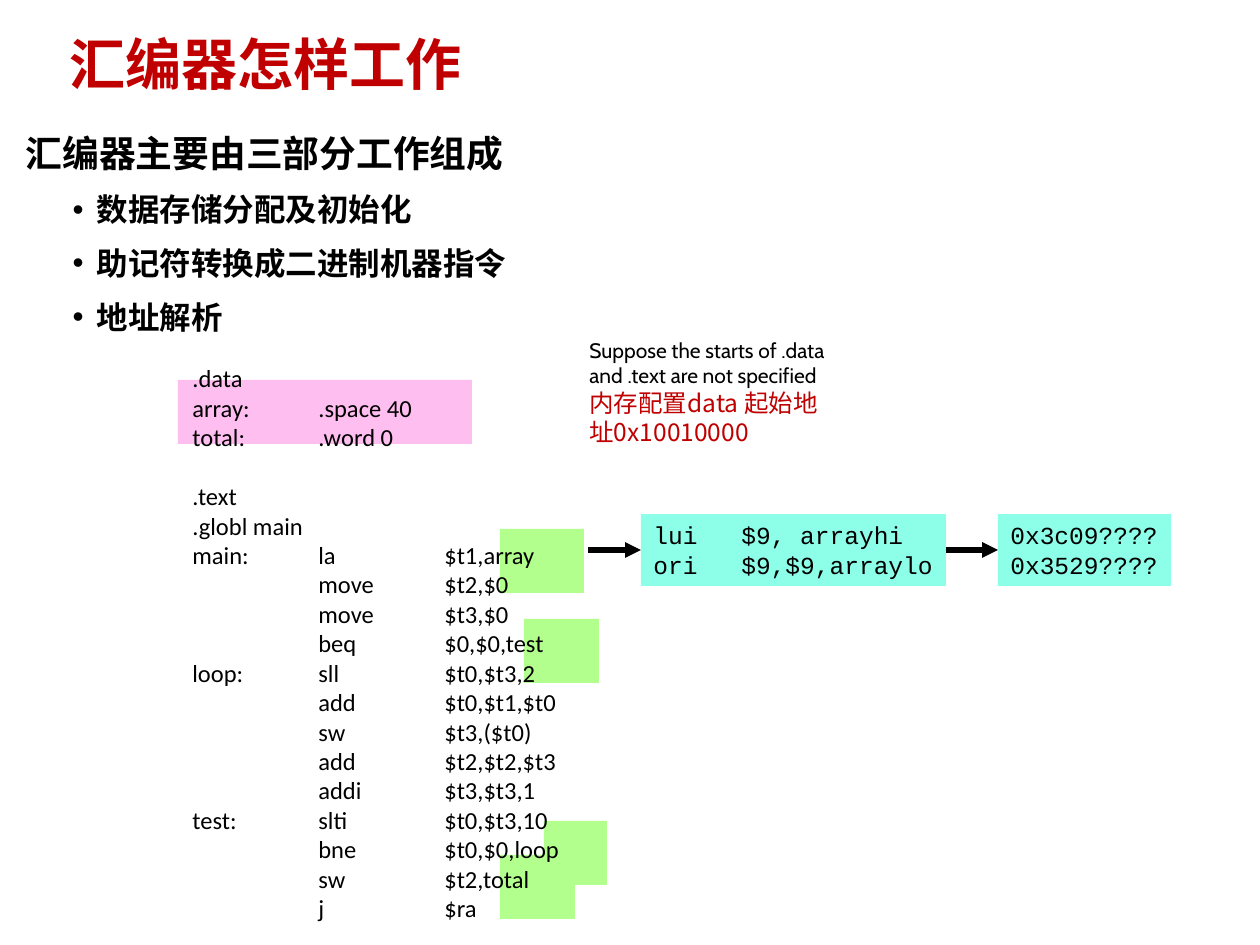
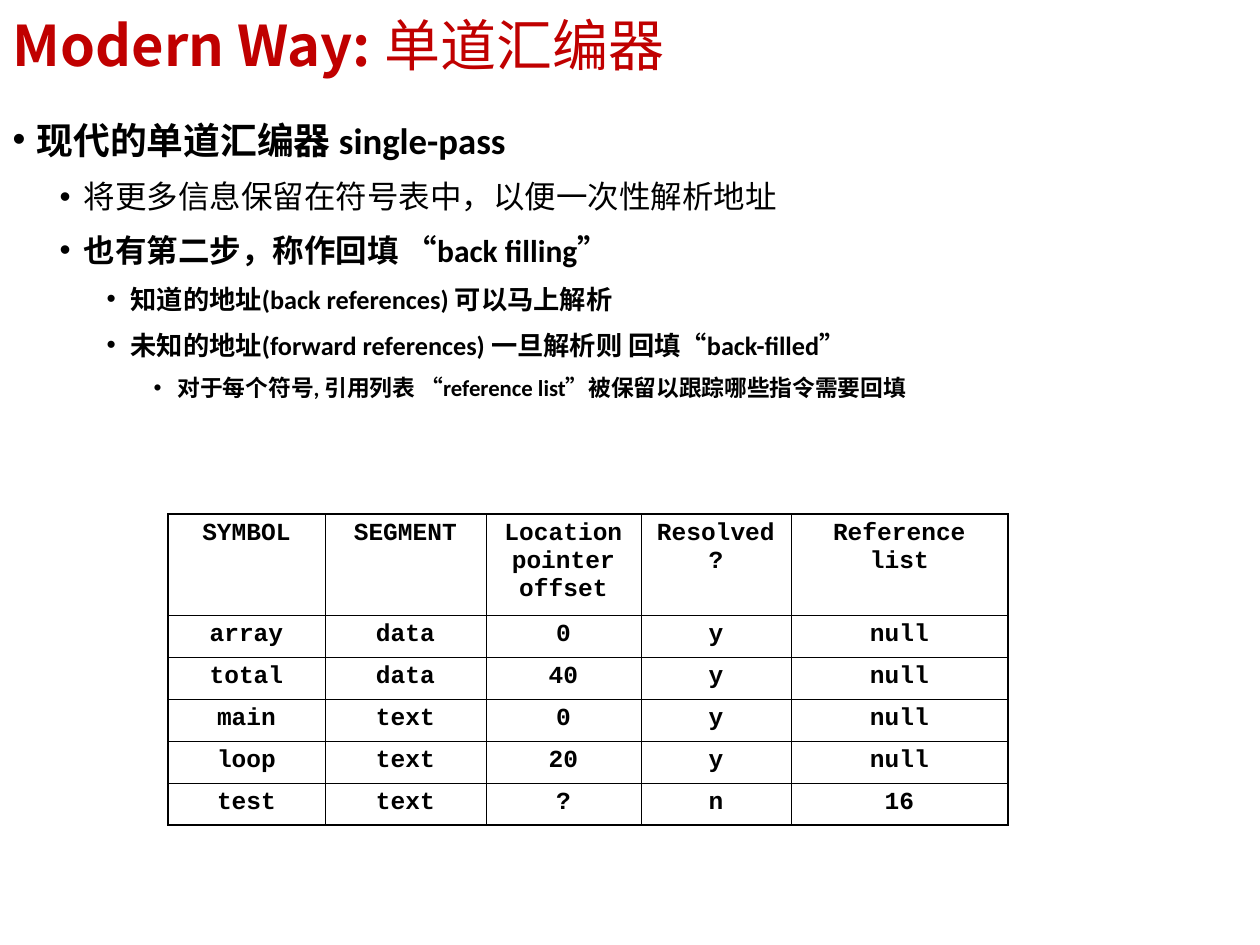
from dataclasses import dataclass

from lxml.etree import SubElement
from pptx import Presentation
from pptx.dml.color import RGBColor
from pptx.enum.shapes import MSO_CONNECTOR, MSO_SHAPE
from pptx.enum.text import MSO_ANCHOR, MSO_AUTO_SIZE, PP_ALIGN
from pptx.oxml.ns import qn
from pptx.oxml.xmlchemy import OxmlElement
from pptx.util import Emu, Pt


@dataclass(frozen=True)
class Theme:
    """Colours, fonts and type sizes shared by the slides."""
    ink: str = "000000"
    accent: str = "C00000"
    label: str = "B3FF8D"
    data: str = "FEBEEF"
    machine: str = "8DFFE9"
    chinese: str = "Noto Sans CJK SC"
    latin: str = "Calibri"
    note: str = "Cabin"
    mono: str = "Courier New"
    title_size: int = 32
    level_sizes: tuple = (21, 18, 15, 13)
    code_size: int = 14
    note_size: int = 12
    outer_border: float = 1.08
    inner_border: float = 0.45


THEME = Theme()
HANG = 24
LEVEL_STEP = 47
INCH = 126


def px(length):
    """Turn whole px into EMU."""
    return Emu(round(length * 914400 / INCH))


def place(shape, box):
    """Move a shape to its box."""
    shape.left, shape.top, shape.width, shape.height = map(px, box)


def style(paragraph, size, font_name, color=THEME.ink, bold=False):
    """Set the font of a paragraph, East Asian face included."""
    font = paragraph.font
    font.size, font.name, font.bold = Pt(size), font_name, bold
    font.color.rgb = RGBColor.from_string(color)
    properties = paragraph._p.get_or_add_pPr()
    east_asian = OxmlElement("a:ea")
    east_asian.set("typeface", THEME.chinese)
    properties.find(qn("a:defRPr")).find(qn("a:latin")).addnext(east_asian)
    return properties


def set_tabs(properties, step, count=3):
    """Add evenly spaced left tab stops."""
    tabs = OxmlElement("a:tabLst")
    for number in range(1, count + 1):
        SubElement(tabs, qn("a:tab"), pos=str(px(step * number)), algn="l")
    properties.find(qn("a:defRPr")).addprevious(tabs)


def paragraphs_for(frame, count):
    """Return the given number of paragraphs of a text frame."""
    return [frame.paragraphs[0]] + [frame.add_paragraph() for _ in range(count - 1)]


def add_title(slide, box, *runs):
    """Fill the title placeholder with (text, bold) runs."""
    title = slide.shapes.title
    place(title, box)
    frame = title.text_frame
    frame.auto_size = MSO_AUTO_SIZE.NONE
    frame.vertical_anchor = MSO_ANCHOR.MIDDLE
    paragraph = frame.paragraphs[0]
    paragraph.alignment = PP_ALIGN.LEFT
    paragraph.line_spacing = 0.9
    style(paragraph, THEME.title_size, THEME.chinese, THEME.accent, True)
    for text, bold in runs:
        run = paragraph.add_run()
        run.text = text
        if not bold:
            run.font.bold = False


def add_outline(slide, box, items):
    """Fill the body placeholder with (level, text, bulleted, bold) items."""
    body = slide.placeholders[1]
    place(body, box)
    frame = body.text_frame
    frame.auto_size = MSO_AUTO_SIZE.NONE
    for paragraph, item in zip(paragraphs_for(frame, len(items)), items):
        level, text, bulleted, bold = item
        paragraph.text = text
        paragraph.level = level
        paragraph.line_spacing = 1.25
        paragraph.space_before = Pt(3.7 if level else 7.5)
        properties = style(paragraph, THEME.level_sizes[level], THEME.latin, bold=bold)
        properties.set("marL", str(px(HANG + LEVEL_STEP * level)))
        properties.set("indent", str(-px(HANG)))
        bullet = OxmlElement("a:buChar" if bulleted else "a:buNone")
        if bulleted:
            bullet.set("char", "•")
        properties.find(qn("a:defRPr")).addprevious(bullet)


def add_block(slide, box, color):
    """Add a plain filled rectangle."""
    block = slide.shapes.add_shape(MSO_SHAPE.RECTANGLE, *map(px, box))
    block.shadow.inherit = False
    block.fill.solid()
    block.fill.fore_color.rgb = RGBColor.from_string(color)
    block.line.fill.background()
    return block


def write_code(shape, lines, font_name, tab_step):
    """Write tabbed code lines into a shape."""
    frame = shape.text_frame
    frame.word_wrap = True
    frame.margin_right = 0
    frame.vertical_anchor = MSO_ANCHOR.TOP
    paragraphs = paragraphs_for(frame, len(lines))
    for paragraph, line in zip(paragraphs, lines):
        paragraph.text = "\t".join(line)
        paragraph.alignment = PP_ALIGN.LEFT
        set_tabs(style(paragraph, THEME.code_size, font_name), tab_step)
    return paragraphs


def add_listing(slide, box):
    """Add the assembly listing with its highlighted symbols."""
    left, top, width, height = box
    add_block(slide, (left - 2, top + 23, 294, 64), THEME.data)
    for x, y, block_width in ((344, 262, 75), (364, 464, 63), (320, 498, 75), (320, 172, 84)):
        add_block(slide, (left + x, top + y, block_width, 64), THEME.label)
    data_lines = [(".data",), ("array:", ".space 40"), ("total:", ".word 0")]
    text_lines = [
        (".text",),
        (".globl main",),
        ("main:", "la", "$t1,array"),
        ("", "move", "$t2,$0"),
        ("", "move", "$t3,$0"),
        ("", "beq", "$0,$0,test"),
        ("loop:", "sll", "$t0,$t3,2"),
        ("", "add", "$t0,$t1,$t0"),
        ("", "sw", "$t3,($t0)"),
        ("", "add", "$t2,$t2,$t3"),
        ("", "addi", "$t3,$t3,1"),
        ("test:", "slti", "$t0,$t3,10"),
        ("", "bne", "$t0,$0,loop"),
        ("", "sw", "$t2,total"),
        ("", "j", "$ra"),
    ]
    listing = slide.shapes.add_textbox(*map(px, box))
    paragraphs = write_code(listing, data_lines + text_lines, THEME.latin, INCH)
    paragraphs[len(data_lines)].space_before = Pt(17)


def add_arrow(slide, start, end):
    """Add a thick black arrow."""
    arrow = slide.shapes.add_connector(MSO_CONNECTOR.STRAIGHT, *map(px, start + end))
    arrow.line.width = Pt(3)
    arrow.line.color.rgb = RGBColor.from_string(THEME.ink)
    SubElement(arrow.line._get_or_add_ln(), qn("a:tailEnd"), type="triangle")
    SubElement(arrow._element.spPr, qn("a:effectLst"))
    return arrow


def add_translation(slide, box):
    """Add the expanded instructions, their machine code and arrows."""
    left, top, width, height = box
    middle = top + height // 2
    instructions = add_block(slide, (left + 53, top, 305, height), THEME.machine)
    write_code(instructions, [("lui", "$9, arrayhi"), ("ori", "$9,$9,arraylo")],
               THEME.mono, 88)
    words = add_block(slide, (left + 410, top, width - 410, height), THEME.machine)
    write_code(words, [("0x3c09????",), ("0x3529????",)], THEME.mono, INCH)
    expand = add_arrow(slide, (left, middle), (left + 53, middle))
    expand.end_connect(instructions, 1)
    encode = add_arrow(slide, (left + 358, middle), (left + 410, middle))
    encode.begin_connect(instructions, 3)
    encode.end_connect(words, 1)


def add_note(slide, box):
    """Add the remark about segment start addresses."""
    frame = slide.shapes.add_textbox(*map(px, box)).text_frame
    frame.word_wrap = True
    remark, address = paragraphs_for(frame, 2)
    remark.text = "Suppose the starts of .data and .text are not specified"
    style(remark, THEME.note_size, THEME.note)
    address.text = "内存配置data 起始地址0x10010000"
    style(address, THEME.code_size, THEME.chinese, THEME.accent)


def set_borders(cell, widths):
    """Give a cell its left, right, top and bottom lines."""
    properties = cell._tc.get_or_add_tcPr()
    for index, (side, width) in enumerate(zip("LRTB", widths)):
        line = OxmlElement(f"a:ln{side}")
        line.set("w", str(Pt(width)))
        fill = SubElement(line, qn("a:solidFill"))
        SubElement(fill, qn("a:srgbClr"), val=THEME.ink)
        properties.insert(index, line)


def add_symbol_table(slide, box):
    """Add the symbol table with a heavier outer frame."""
    rows = [
        ("SYMBOL", "SEGMENT", "Location pointer offset", "Resolved?", "Reference list"),
        ("array", "data", "0", "y", "null"),
        ("total", "data", "40", "y", "null"),
        ("main", "text", "0", "y", "null"),
        ("loop", "text", "20", "y", "null"),
        ("test", "text", "?", "n", "16"),
    ]
    column_widths = (157, 161, 155, 150, 217)
    row_heights = (101,) + (42,) * 5
    table = slide.shapes.add_table(len(rows), len(column_widths), *map(px, box)).table
    table.first_row = table.horz_banding = False
    for column, width in zip(table.columns, column_widths):
        column.width = px(width)
    last_row, last_column = len(rows) - 1, len(column_widths) - 1
    for row_index, values in enumerate(rows):
        table.rows[row_index].height = px(row_heights[row_index])
        for column_index, value in enumerate(values):
            cell = table.cell(row_index, column_index)
            cell.fill.background()
            edges = (column_index == 0, column_index == last_column,
                     row_index == 0, row_index == last_row)
            set_borders(cell, [THEME.outer_border if edge else THEME.inner_border
                               for edge in edges])
            paragraph = cell.text_frame.paragraphs[0]
            paragraph.text = value
            paragraph.alignment = PP_ALIGN.CENTER
            paragraph.space_before = Pt(3.5)
            style(paragraph, THEME.code_size, THEME.mono, bold=True)


def build_assembler_slide(slide):
    """Build the slide on how the assembler works."""
    add_title(slide, (57, 28, 1086, 78), ("汇编器怎样工作", True))
    add_outline(slide, (13, 113, 1207, 820), [
        (0, "汇编器主要由三部分工作组成", False, True),
        (1, "数据存储分配及初始化", True, True),
        (1, "助记符转换成二进制机器指令", True, True),
        (1, "地址解析", True, True),
    ])
    add_listing(slide, (180, 357, 392, 572))
    add_translation(slide, (588, 514, 583, 72))
    add_note(slide, (577, 331, 262, 176))


def build_single_pass_slide(slide):
    """Build the slide on the single-pass assembler."""
    add_title(slide, (0, 0, 1260, 97), ("Modern Way: ", True), ("单道汇编器", False))
    add_outline(slide, (0, 100, 1260, 845), [
        (0, "现代的单道汇编器 single-pass", True, True),
        (1, "将更多信息保留在符号表中，以便一次性解析地址", True, False),
        (1, "也有第二步，称作回填 “back filling”", True, True),
        (2, "知道的地址(back references) 可以马上解析", True, True),
        (2, "未知的地址(forward references) 一旦解析则 回填“back-filled”", True, True),
        (3, "对于每个符号, 引用列表 “reference list”被保留以跟踪哪些指令需要回填", True, True),
    ])
    add_symbol_table(slide, (168, 514, 840, 311))


def main():
    """Build both slides and save them."""
    presentation = Presentation()
    presentation.slide_width, presentation.slide_height = px(1260), px(945)
    layout = presentation.slide_layouts[1]
    for build in (build_assembler_slide, build_single_pass_slide):
        build(presentation.slides.add_slide(layout))
    presentation.save("out.pptx")


if __name__ == "__main__":
    main()
